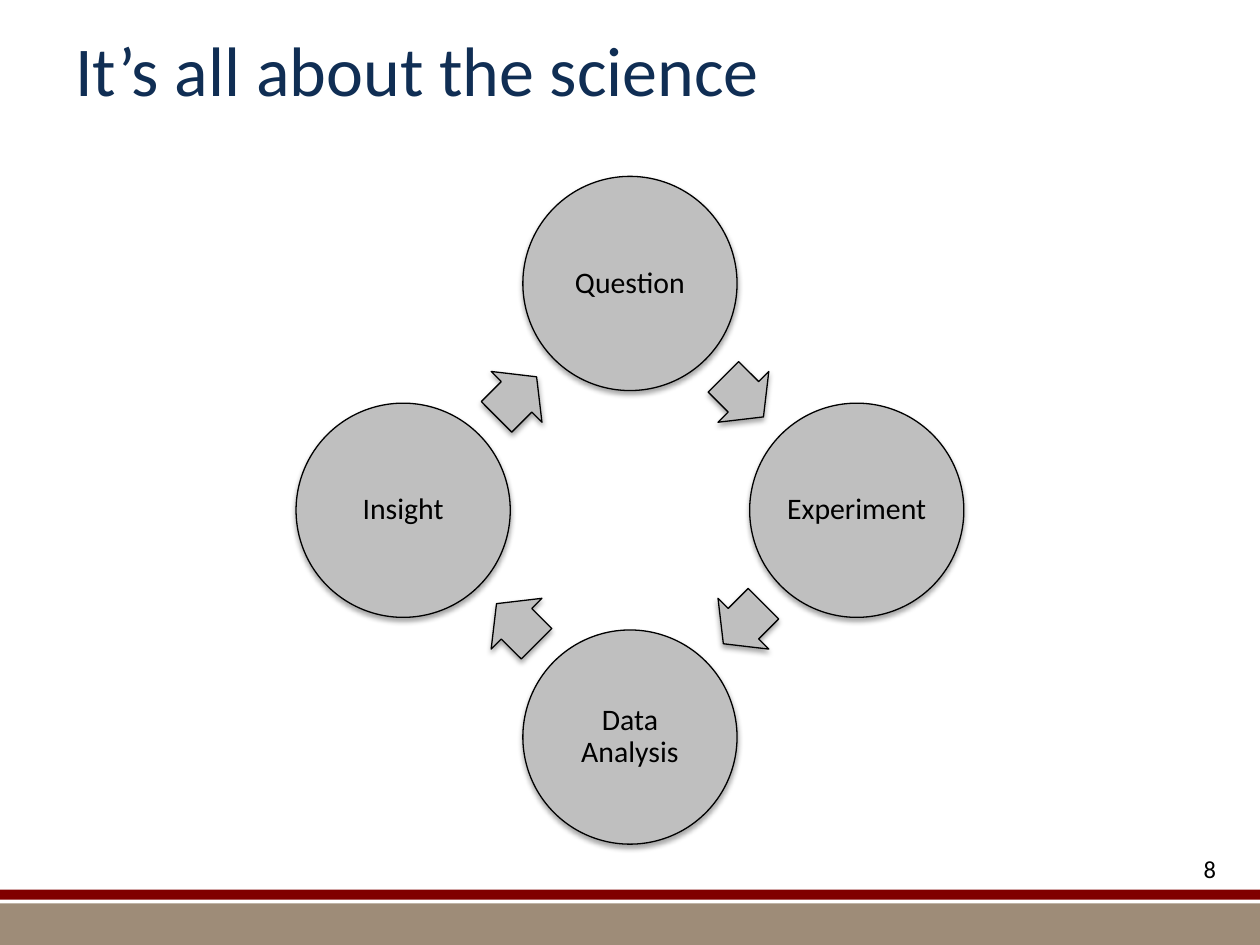
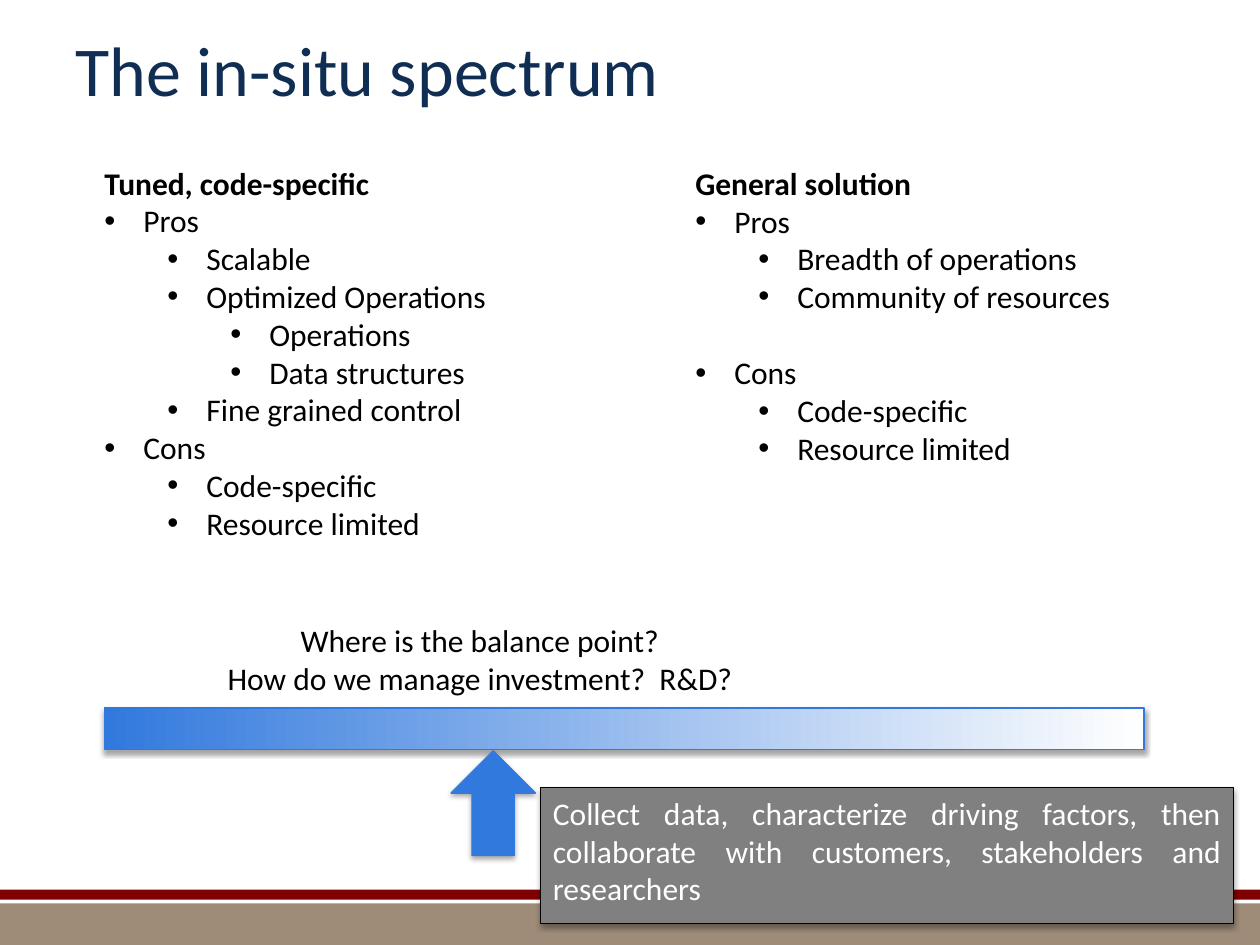
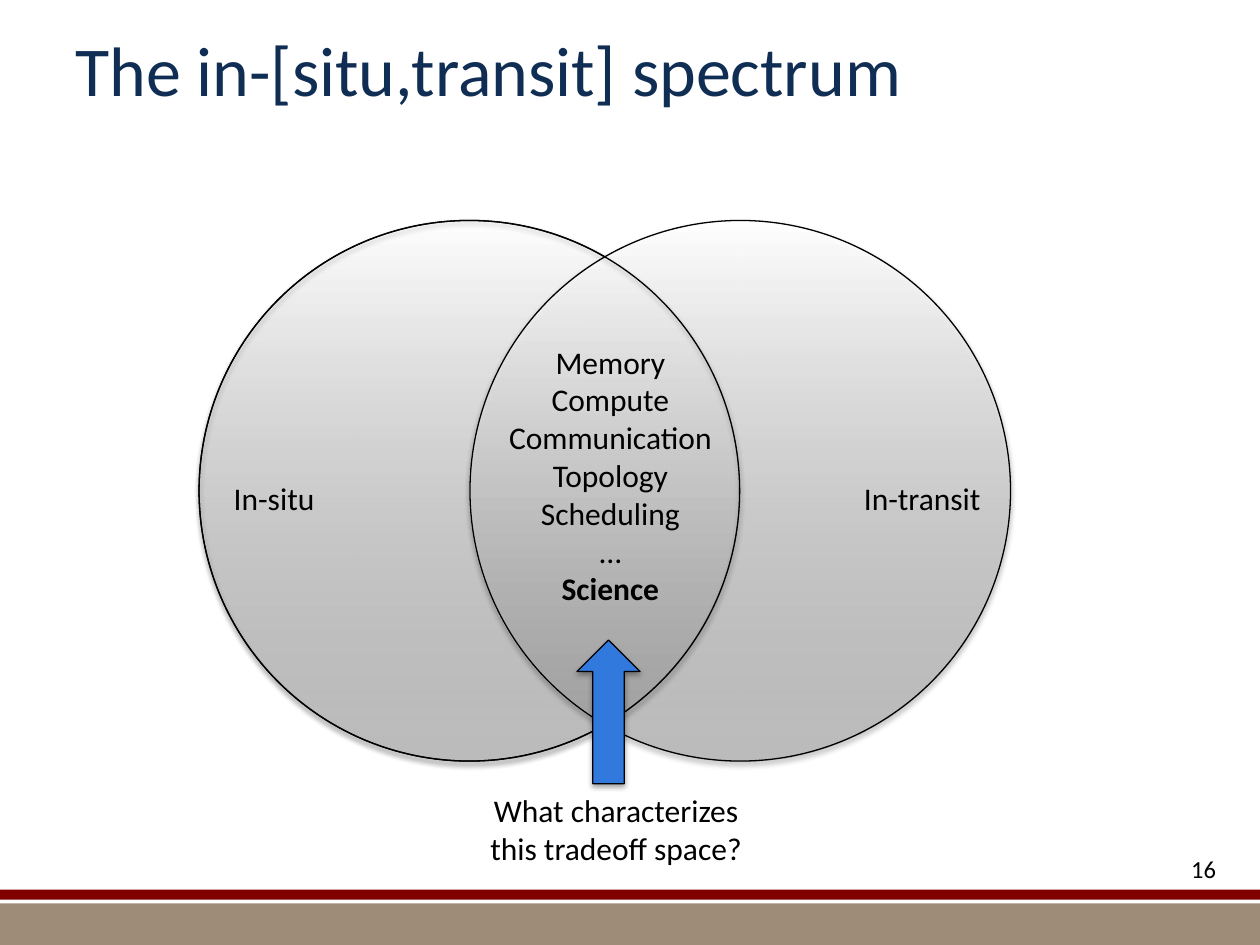
import math

from lxml import etree
from pptx import Presentation
from pptx.dml.color import RGBColor
from pptx.enum.shapes import MSO_SHAPE
from pptx.enum.text import MSO_ANCHOR, MSO_AUTO_SIZE, PP_ALIGN
from pptx.oxml.ns import qn
from pptx.util import Inches, Pt

RECTANGLE, ELLIPSE = MSO_SHAPE.RECTANGLE, MSO_SHAPE.OVAL
RIGHT_ARROW, UP_ARROW = MSO_SHAPE.RIGHT_ARROW, MSO_SHAPE.UP_ARROW
LEFT, CENTER, RIGHT, JUSTIFY = (PP_ALIGN.LEFT, PP_ALIGN.CENTER,
                                PP_ALIGN.RIGHT, PP_ALIGN.JUSTIFY)
TOP, MIDDLE = MSO_ANCHOR.TOP, MSO_ANCHOR.MIDDLE
FIT_SHAPE = MSO_AUTO_SIZE.SHAPE_TO_FIT_TEXT

NAVY = RGBColor(0x10, 0x2E, 0x54)
MAROON = RGBColor(0x80, 0x00, 0x00)
TAN = RGBColor(0x9E, 0x8C, 0x78)
BLUE = RGBColor(0x32, 0x79, 0xDD)
BLACK = RGBColor(0x00, 0x00, 0x00)
WHITE = RGBColor(0xFF, 0xFF, 0xFF)
DARK_GRAY = RGBColor(0x80, 0x80, 0x80)
MID_GRAY = RGBColor(0xA6, 0xA6, 0xA6)
LIGHT_GRAY = RGBColor(0xBF, 0xBF, 0xBF)

FONT = "Calibri"
BANDS = [((0, 7.17, 10, 0.33), TAN), ((0, 7.06, 10, 0.08), MAROON)]

# Content: cycle
CYCLE_TITLE = "It’s all about the science"
CYCLE_STEPS = ["Question", "Experiment", "Data Analysis", "Insight"]
CYCLE_CENTER = (5, 4.05)
CYCLE_RADIUS = 1.8
STEP_SIZE = 1.7
ARROW_WIDTH, ARROW_HEIGHT = 0.45, 0.57

# Content: spectrum columns as (level, text, format); level None is a heading
SPECTRUM_TITLE = "The in-situ spectrum"
HEADING = {"bold": True}
LINE_GAP = {"space_before": Pt(22)}
SPECTRUM_COLUMNS = [
    ((0.73, 1.25, 3.27, 3.13), [
        (None, "Tuned, code-specific", HEADING),
        (0, "Pros", {}),
        (1, "Scalable", {}),
        (1, "Optimized Operations", {}),
        (2, "Operations", {}),
        (2, "Data structures", {}),
        (1, "Fine grained control", {}),
        (0, "Cons", {}),
        (1, "Code-specific", {}),
        (1, "Resource limited", {}),
    ]),
    ((5.42, 1.25, 3.54, 2.52), [
        (None, "General solution", HEADING),
        (0, "Pros", {}),
        (1, "Breadth of operations", {}),
        (1, "Community of resources", {}),
        (0, "Cons", LINE_GAP),
        (1, "Code-specific", {}),
        (1, "Resource limited", {}),
    ]),
]
BALANCE_QUESTIONS = ["Where is the balance point?",
                     "How do we manage investment?  R&D?"]
CALL_TO_ACTION = ("Collect data, characterize driving factors, then collaborate "
                  "with customers, stakeholders and researchers")

# Content: overlap
OVERLAP_TITLE = "The in-[situ,transit] spectrum"
OVERLAP_TOPICS = ["Memory", "Compute", "Communication", "Topology",
                  "Scheduling", "…", ("Science", HEADING)]
OVERLAP_QUESTION = "What characterizes this tradeoff space?"
SIDE_LABELS = [("In-situ", (1.75, 3.75, 0.85, 0.4)),
               ("In-transit", (6.75, 3.75, 1.14, 0.4))]
CIRCLE_SIZE, CIRCLE_TOP = 4.29, 1.75
CIRCLE_LEFTS = [1.58, 3.73]


def inches(box):
    return [Inches(value) for value in box]


def write_paragraph(paragraph, text, size=18, color=BLACK, bold=False, **layout):
    for name, value in layout.items():
        setattr(paragraph, name, value)
    run = paragraph.add_run()
    run.text = text
    for name, value in {"name": FONT, "size": Pt(size), "bold": bold}.items():
        setattr(run.font, name, value)
    run.font.color.rgb = color


def write_lines(frame, lines, **shared):
    """Each line is a text, or a text with its own format."""
    for index, line in enumerate(lines):
        text, own = (line, {}) if isinstance(line, str) else line
        paragraph = frame.add_paragraph() if index else frame.paragraphs[0]
        write_paragraph(paragraph, text, **{**shared, **own})


def add_text_box(slide, box, lines, wrap=True, anchor=TOP, grow=False, **shared):
    frame = slide.shapes.add_textbox(*inches(box)).text_frame
    frame.word_wrap = wrap
    frame.vertical_anchor = anchor
    if grow:
        frame.auto_size = FIT_SHAPE
    write_lines(frame, lines, **shared)
    return frame


def add_shadow(shape):
    effects = shape.element.spPr.find(qn("a:effectLst"))
    shadow = etree.SubElement(
        effects, qn("a:outerShdw"), blurRad=str(Pt(3.1)), dist=str(Pt(1.8)),
        dir="5400000", rotWithShape="0")
    color = etree.SubElement(shadow, qn("a:srgbClr"), val=str(BLACK))
    etree.SubElement(color, qn("a:alpha"), val="35000")


def add_shape(slide, kind, box, fill=None, line=BLACK, shadow=True):
    shape = slide.shapes.add_shape(kind, *inches(box))
    shape.shadow.inherit = False
    if fill is None:
        shape.fill.background()
    else:
        shape.fill.solid()
        shape.fill.fore_color.rgb = fill
    if line is None:
        shape.line.fill.background()
    else:
        shape.line.color.rgb = line
        shape.line.width = Pt(0.75)
    if shadow:
        add_shadow(shape)
    return shape


def set_gradient(shape, start, end, angle, start_opacity=100):
    shape.fill.gradient()
    shape.fill.gradient_angle = angle
    for stop, color in zip(shape.fill.gradient_stops, (start, end)):
        stop.color.rgb = color
    if start_opacity < 100:
        gradient = shape.element.spPr.find(qn("a:gradFill"))
        first_color = next(gradient.iter(qn("a:srgbClr")))
        etree.SubElement(first_color, qn("a:alpha"), val=str(start_opacity * 1000))


def add_bullet(paragraph, level):
    paragraph.level = level
    properties = paragraph._p.get_or_add_pPr()
    properties.set("marL", str(Inches(0.31 + 0.5 * level)))
    properties.set("indent", str(Inches(-0.31)))
    etree.SubElement(properties, qn("a:buFont"), typeface="Arial")
    etree.SubElement(properties, qn("a:buChar"), char="•")


def start_slide(presentation, title):
    slide = presentation.slides.add_slide(presentation.slide_layouts[6])
    for box, color in BANDS:
        add_shape(slide, RECTANGLE, box, color, line=None, shadow=False)
    add_text_box(slide, (0.5, 0, 9, 1.08), [title], anchor=MIDDLE,
                 size=40, color=NAVY)
    return slide


def add_page_number(slide, number):
    add_text_box(slide, (9.08, 6.73, 0.67, 0.41), [number], size=14,
                 alignment=RIGHT)


def centered_box(angle, radius, width, height):
    """Box whose centre lies on the cycle, clockwise from the top."""
    radians = math.radians(angle)
    x = CYCLE_CENTER[0] + radius * math.sin(radians)
    y = CYCLE_CENTER[1] - radius * math.cos(radians)
    return x - width / 2, y - height / 2, width, height


def build_cycle(presentation):
    slide = start_slide(presentation, CYCLE_TITLE)
    turn = 360 / len(CYCLE_STEPS)
    arrow_radius = CYCLE_RADIUS * math.cos(math.radians(turn / 2))
    for index, step in enumerate(CYCLE_STEPS):
        angle = index * turn
        circle = add_shape(
            slide, ELLIPSE,
            centered_box(angle, CYCLE_RADIUS, STEP_SIZE, STEP_SIZE), LIGHT_GRAY)
        frame = circle.text_frame
        frame.word_wrap = True
        frame.vertical_anchor = MIDDLE
        for side in ("left", "top", "right", "bottom"):
            setattr(frame, f"margin_{side}", Inches(0.02))
        write_lines(frame, [step], size=17, alignment=CENTER, line_spacing=0.9)

        # Arrow to the next step
        arrow_angle = angle + turn / 2
        arrow = add_shape(
            slide, RIGHT_ARROW,
            centered_box(arrow_angle, arrow_radius, ARROW_WIDTH, ARROW_HEIGHT),
            LIGHT_GRAY)
        arrow.adjustments[0] = 0.6
        arrow.adjustments[1] = 0.5
        arrow.rotation = arrow_angle
    add_page_number(slide, "8")


def build_spectrum(presentation):
    slide = start_slide(presentation, SPECTRUM_TITLE)
    for box, items in SPECTRUM_COLUMNS:
        lines = [(text, own) for _, text, own in items]
        frame = add_text_box(slide, box, lines, wrap=False, grow=True,
                             alignment=LEFT)
        for paragraph, (level, _, _) in zip(frame.paragraphs, items):
            if level is not None:
                add_bullet(paragraph, level)

    # Scale with its balance point
    scale = add_shape(slide, RECTANGLE, (0.83, 5.62, 8.25, 0.33), BLUE, BLUE)
    set_gradient(scale, BLUE, WHITE, 0)
    add_shape(slide, UP_ARROW, (3.58, 5.96, 0.67, 0.83), BLUE, BLUE)
    add_text_box(slide, (1.68, 4.88, 4.26, 0.71), BALANCE_QUESTIONS,
                 wrap=False, grow=True, alignment=CENTER)

    # Call to action
    panel = add_shape(slide, RECTANGLE, (4.29, 6.25, 5.5, 1.08), DARK_GRAY)
    panel.text_frame.word_wrap = True
    panel.text_frame.vertical_anchor = TOP
    write_lines(panel.text_frame, [CALL_TO_ACTION], color=WHITE,
                alignment=JUSTIFY)


def build_overlap(presentation):
    slide = start_slide(presentation, OVERLAP_TITLE)
    add_page_number(slide, "16")
    add_text_box(slide, (3.75, 6.23, 2.28, 0.71), [OVERLAP_QUESTION],
                 grow=True, alignment=CENTER)

    # Two filled circles, then the outline of the first one on top
    boxes = [(left, CIRCLE_TOP, CIRCLE_SIZE, CIRCLE_SIZE) for left in CIRCLE_LEFTS]
    for box in boxes:
        circle = add_shape(slide, ELLIPSE, box, MID_GRAY)
        set_gradient(circle, MID_GRAY, WHITE, 90, start_opacity=50)
    add_shape(slide, ELLIPSE, boxes[0])

    # Labels and pointer
    for label, box in SIDE_LABELS:
        add_text_box(slide, box, [label], wrap=False, grow=True, alignment=CENTER)
    add_shape(slide, UP_ARROW, (4.58, 5.08, 0.5, 1.14), BLUE)
    add_text_box(slide, (3.93, 2.67, 1.83, 2.22), OVERLAP_TOPICS, wrap=False,
                 grow=True, alignment=CENTER)


def main():
    presentation = Presentation()
    presentation.slide_width = Inches(10)
    presentation.slide_height = Inches(7.5)
    build_cycle(presentation)
    build_spectrum(presentation)
    build_overlap(presentation)
    presentation.save("out.pptx")


if __name__ == "__main__":
    main()
